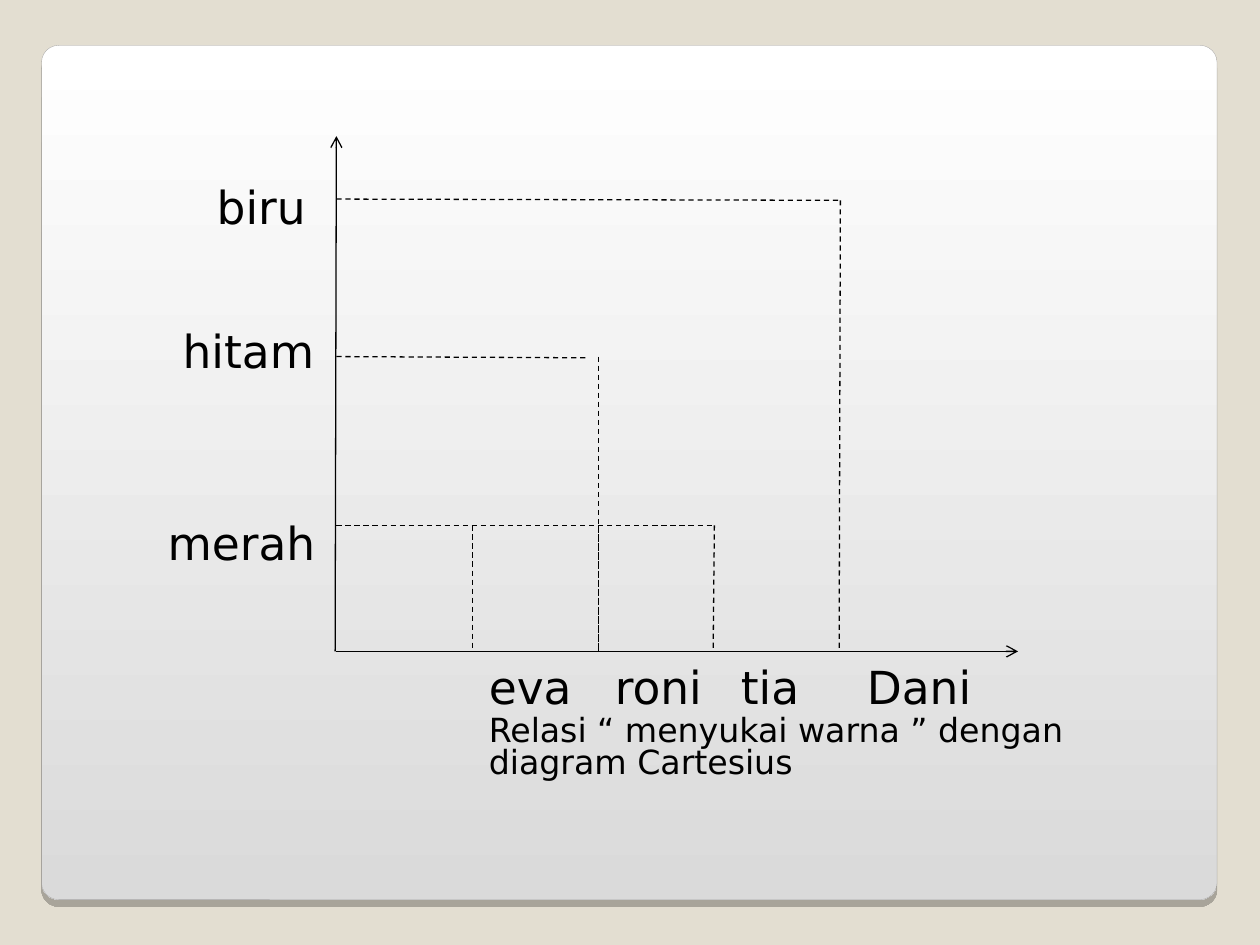
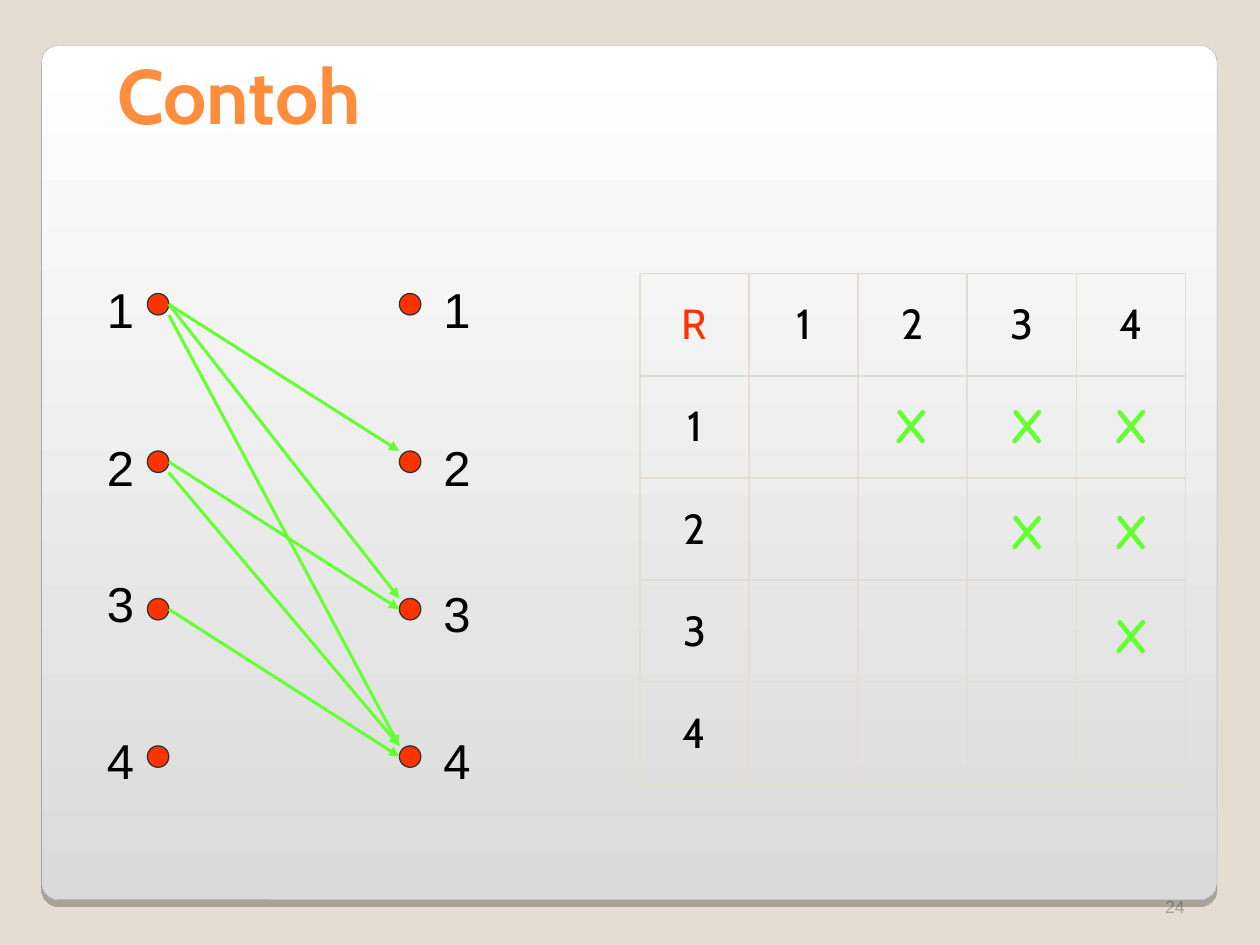
from dataclasses import dataclass

from lxml import etree
from pptx import Presentation
from pptx.dml.color import RGBColor
from pptx.enum.dml import MSO_LINE_DASH_STYLE as DASH
from pptx.enum.shapes import MSO_CONNECTOR as CONN, MSO_SHAPE as SHAPE
from pptx.enum.text import MSO_ANCHOR as ANCHOR, PP_ALIGN as ALIGN
from pptx.oxml import parse_xml
from pptx.oxml.ns import nsdecls, qn
from pptx.util import Inches, Pt

COLOUR_LABELS = [("biru", 1.72, 1.42), ("hitam", 1.45, 2.56), ("merah", 1.33, 4.09)]
NAMES = ["eva", "roni", "tia", "Dani"]
NAMES_LEFT, NAMES_TOP = 3.88, 5.23
CAPTION = "Relasi “ menyukai warna ” dengan diagram Cartesius"
AXES = [(2.67, 5.17, 8.08, 5.17), (2.66, 5.17, 2.67, 1.08)]
GUIDES = [
    (2.67, 2.83, 4.67, 2.84), (4.75, 2.83, 4.75, 5.17),
    (2.67, 4.17, 5.67, 4.17), (3.75, 4.17, 3.75, 5.17),
    (4.75, 4.17, 4.75, 5.17), (5.67, 4.17, 5.66, 5.17),
    (2.67, 1.58, 6.67, 1.59), (6.67, 1.59, 6.66, 5.17),
]

TITLE = "Contoh"
PAGE_NUMBER = "24"
MEMBERS = ["1", "2", "3", "4"]
DOT = 0.17
DOT_TOPS = [2.33, 3.58, 4.75, 5.92]
DOMAIN = {"dots": 1.17, "labels": 0.75, "label_tops": [2.17, 3.42, 4.5, 5.75]}
CODOMAIN = {"dots": 3.17, "labels": 3.42, "label_tops": [2.17, 3.42, 4.58, 5.75]}
EDGE = {"top": 0, "middle": DOT / 2, "bottom": DOT}
RELATION = [
    ("1", "2", "middle", "top"), ("1", "3", "middle", "top"),
    ("1", "4", "bottom", "top"), ("2", "3", "middle", "middle"),
    ("2", "4", "bottom", "top"), ("3", "4", "middle", "middle"),
]
TABLE_BOX = (5.08, 2.17, 4.33, 4.06)
MARK_LEFTS = {"2": 7, "3": 7.92, "4": 8.75}
MARK_TOPS = {"1": 3.08, "2": 3.92, "3": 4.75}


@dataclass(frozen=True)
class Theme:
    back: str = "E3DED1"
    panel_top: str = "FFFFFF"
    panel_bottom: str = "DADADA"
    panel_edge: str = "A4A3A3"
    ink: str = "000000"
    title: str = "FF8D3E"
    muted: str = "A7A399"
    red: str = "FF3300"
    green: str = "66FF33"
    dot_edge: str = "323232"
    plain: str = "Arial"
    diagram: str = "DejaVu Sans"
    heading: str = "Cabin"
    mark: str = "Comic Neue"
    title_size: float = 44
    label_size: float = 28
    diagram_size: float = 26
    table_size: float = 24
    caption_size: float = 19
    number_size: float = 10


T = Theme()


def rgb(value):
    return RGBColor.from_string(value)


def box(*values):
    return [Inches(v) for v in values]


def write(tf, text, font=T.plain, size=T.label_size, color=T.ink, bold=False,
          align=ALIGN.LEFT, anchor=ANCHOR.TOP, spacing=None, inset=(0.1, 0.05)):
    tf.word_wrap = True
    tf.vertical_anchor = anchor
    tf.margin_left = tf.margin_right = Inches(inset[0])
    tf.margin_top = tf.margin_bottom = Inches(inset[1])
    p = tf.paragraphs[0]
    p.alignment = align
    p.space_before = Pt(0)
    if spacing:
        p.line_spacing = spacing
    r = p.add_run()
    r.text = text
    r.font.name = font
    r.font.size = Pt(size)
    r.font.bold = bold
    r.font.color.rgb = rgb(color)


def add_text(s, text, at, **fmt):
    sp = s.shapes.add_textbox(*box(*at))
    write(sp.text_frame, text, **fmt)
    return sp


def add_line(s, ends, color=T.ink, width=0.75, dash=None, head=None):
    cx = s.shapes.add_connector(CONN.STRAIGHT, *box(*ends))
    cx.line.color.rgb = rgb(color)
    cx.line.width = Pt(width)
    if dash:
        cx.line.dash_style = dash
    if head:
        etree.SubElement(cx.line._get_or_add_ln(), qn("a:tailEnd"), type=head)
    etree.SubElement(cx._element.spPr, qn("a:effectLst"))


def add_panel(s):
    sp = s.shapes.add_shape(SHAPE.ROUNDED_RECTANGLE, *box(0.33, 0.36, 9.33, 6.78))
    sp.adjustments[0] = 0.02
    sp.fill.gradient()
    sp.fill.gradient_angle = 270
    for stop, color in zip(sp.fill.gradient_stops, (T.panel_top, T.panel_bottom)):
        stop.color.rgb = rgb(color)
    sp.line.color.rgb = rgb(T.panel_edge)
    sp.line.width = Pt(0.17)
    sp.shadow.inherit = False
    sp._element.spPr.find(qn("a:effectLst")).append(parse_xml(
        f'<a:outerShdw {nsdecls("a")} blurRad="0" dist="{Pt(4)}" dir="5400000" '
        'algn="t" rotWithShape="0"><a:srgbClr val="000000">'
        '<a:alpha val="25000"/></a:srgbClr></a:outerShdw>'))
    send_back(s, sp)


def send_back(s, sp):
    s.shapes._spTree.insert(2, sp._element)


def add_dot(s, left, top):
    sp = s.shapes.add_shape(SHAPE.OVAL, *box(left, top, DOT, DOT))
    sp.shadow.inherit = False
    sp.fill.solid()
    sp.fill.fore_color.rgb = rgb(T.red)
    sp.line.color.rgb = rgb(T.dot_edge)
    sp.line.width = Pt(0.75)


def set_borders(cell):
    tc_pr = cell._tc.get_or_add_tcPr()
    for i, side in enumerate(("lnL", "lnR", "lnT", "lnB")):
        tc_pr.insert(i, parse_xml(
            f'<a:{side} {nsdecls("a")} w="{Pt(1.08)}"><a:solidFill>'
            f'<a:srgbClr val="{T.back}"/></a:solidFill></a:{side}>'))


def add_relation_table(s):
    n = len(MEMBERS) + 1
    table = s.shapes.add_table(n, n, *box(*TABLE_BOX)).table
    table.first_row = table.horz_banding = False
    for i in range(n):
        for j in range(n):
            cell = table.cell(i, j)
            cell.fill.background()
            set_borders(cell)
            cell.vertical_anchor = ANCHOR.MIDDLE
            if i == 0 or j == 0:
                text = MEMBERS[max(i, j) - 1] if i or j else "R"
                write(cell.text_frame, text, font=T.heading, size=T.table_size,
                      color=T.ink if i or j else T.red, align=ALIGN.CENTER,
                      anchor=None)
                cell.vertical_anchor = ANCHOR.MIDDLE


def cartesian_slide(prs):
    s = prs.slides.add_slide(prs.slide_layouts[6])
    add_panel(s)
    fmt = dict(font=T.diagram, inset=(0, 0))
    for text, left, top in COLOUR_LABELS:
        add_text(s, text, (left, top, 1.2, 0.42), size=T.diagram_size, **fmt)
    for i, name in enumerate(NAMES):
        add_text(s, name, (NAMES_LEFT + i, NAMES_TOP, 1, 0.42),
                 size=T.diagram_size, **fmt)
    add_text(s, CAPTION, (NAMES_LEFT, 5.69, 4.9, 0.55),
             size=T.caption_size, spacing=0.8, **fmt)
    for ends in AXES:
        add_line(s, ends, head="arrow")
    for ends in GUIDES:
        add_line(s, ends, dash=DASH.DASH)


def example_slide(prs):
    s = prs.slides.add_slide(prs.slide_layouts[5])
    add_panel(s)
    number = add_text(s, PAGE_NUMBER, (7.42, 6.83, 2.08, 0.5), size=T.number_size,
                      color=T.muted, align=ALIGN.RIGHT, anchor=ANCHOR.BOTTOM)
    send_back(s, number)

    title = s.shapes.title
    title.left, title.top, title.width, title.height = box(0.83, 0.33, 8.92, 0.83)
    write(title.text_frame, TITLE, font=T.heading, size=T.title_size,
          color=T.title, bold=True)

    for group in (DOMAIN, CODOMAIN):
        for member, dot_top, label_top in zip(MEMBERS, DOT_TOPS, group["label_tops"]):
            add_dot(s, group["dots"], dot_top)
            add_text(s, member, (group["labels"], label_top, 0.42, 0.57))

    add_relation_table(s)
    tops = dict(zip(MEMBERS, DOT_TOPS))
    for a, b, start, end in RELATION:
        add_line(s, (DOMAIN["dots"] + DOT, tops[a] + EDGE[start],
                     CODOMAIN["dots"], tops[b] + EDGE[end]),
                 color=T.green, width=1.75, head="triangle")
        add_text(s, "X", (MARK_LEFTS[b], MARK_TOPS[a], 0.58, 0.57),
                 font=T.mark, color=T.green, bold=True)


def main():
    prs = Presentation()
    prs.slide_width, prs.slide_height = box(10, 7.5)
    back = prs.slide_master.background.fill
    back.solid()
    back.fore_color.rgb = rgb(T.back)
    cartesian_slide(prs)
    example_slide(prs)
    prs.save("out.pptx")


if __name__ == "__main__":
    main()
